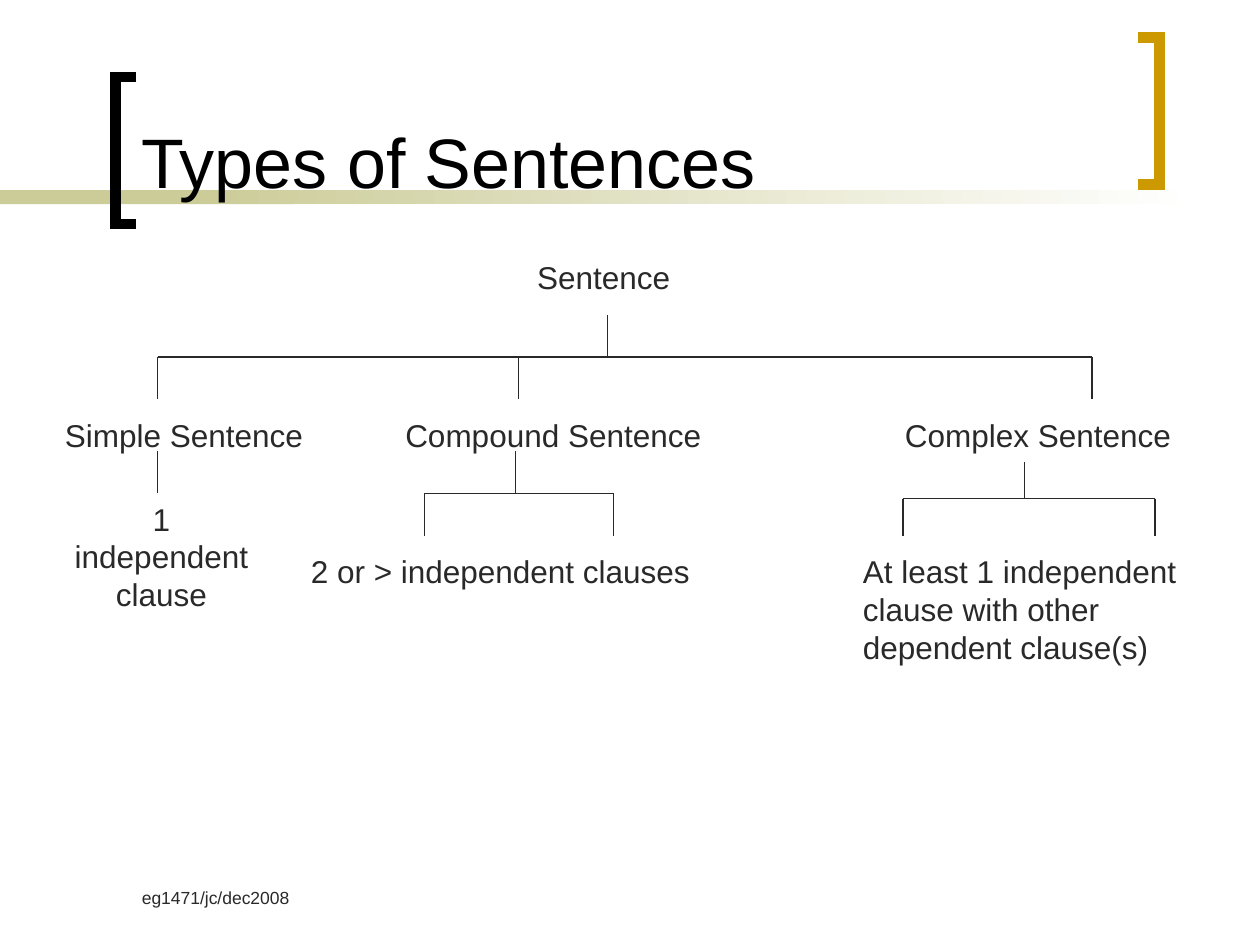
from lxml.etree import SubElement
from pptx import Presentation
from pptx.dml.color import RGBColor
from pptx.enum.shapes import MSO_CONNECTOR, MSO_SHAPE
from pptx.enum.text import MSO_ANCHOR, PP_ALIGN
from pptx.oxml.ns import qn
from pptx.util import Pt

COLORS = {"title": "000000", "ink": "292929", "band": "CCCC99",
          "fade": "FFFFFF", "gold": "CC9900"}

# Labels: text, (left, top, width, height), format
LABELS = [
    ("Types of Sentences", (73.5, 8, 564, 111.5),
     {"size": 40, "color": "title", "anchor": MSO_ANCHOR.BOTTOM}),
    ("Sentence", (192, 144, 306, 29), {"align": PP_ALIGN.CENTER}),
    ("Simple Sentence", (30, 234, 156, 29), {}),
    ("Compound Sentence", (224.5, 234, 183.5, 29), {"wrap": False}),
    ("Complex Sentence", (510, 234, 210, 29), {}),
    ("1 independent clause", (30, 282, 124.5, 72), {"align": PP_ALIGN.CENTER}),
    ("2 or > independent clauses", (170.5, 312, 231, 29), {"wrap": False}),
    ("At least 1 independent clause with other dependent clause(s)",
     (486, 312, 222, 72), {}),
    ("eg1471/jc/dec2008", (74, 503.5, 150, 24), {"size": 10}),
]

# Trees: stem x, stem top, bar y, branch bottom, branch x positions
TREES = [
    (347, 180, 204, 228, (90, 296.5, 624)),
    (294.5, 258, 282, 306, (242.5, 350.5)),
    (585.5, 264, 285, 306, (516, 660)),
    (90, 258, 282, 282, ()),
]

# Brackets: x of the upright, x of the tips, top, colour
BRACKETS = [(66, 78, 44, "title"), (662.5, 650.5, 21.5, "gold")]
BRACKET_HEIGHT = 84

BAND_TOP, BAND_HEIGHT = 108.75, 8
BAND_SOLID_WIDTH, FADE_LEFT, FADE_WIDTH = 168, 114, 570


def rgb(name):
    return RGBColor.from_string(COLORS[name])


def add_text(slide, text, box, size=18, color="ink", align=PP_ALIGN.LEFT,
             anchor=MSO_ANCHOR.TOP, wrap=True):
    frame = slide.shapes.add_textbox(*map(Pt, box)).text_frame
    frame.word_wrap = wrap
    frame.vertical_anchor = anchor
    paragraph = frame.paragraphs[0]
    paragraph.alignment = align
    run = paragraph.add_run()
    run.text = text
    run.font.name = "Arial"
    run.font.size = Pt(size)
    run.font.color.rgb = rgb(color)


def add_line(slide, *ends):
    line = slide.shapes.add_connector(MSO_CONNECTOR.STRAIGHT, *map(Pt, ends))
    line.line.color.rgb = rgb("ink")
    line.line.width = Pt(0.75)
    SubElement(line._element.spPr, qn("a:effectLst"))


def add_tree(slide, stem, top, bar, bottom, branches):
    add_line(slide, stem, top, stem, bar)
    if branches:
        add_line(slide, branches[0], bar, branches[-1], bar)
    for branch in branches:
        add_line(slide, branch, bar, branch, bottom)


def add_band(slide, left, width):
    band = slide.shapes.add_shape(MSO_SHAPE.RECTANGLE, Pt(left), Pt(BAND_TOP),
                                  Pt(width), Pt(BAND_HEIGHT))
    band.shadow.inherit = False
    band.line.fill.background()
    return band.fill


def add_bracket(slide, upright, tip, top, color):
    bottom = top + BRACKET_HEIGHT
    builder = slide.shapes.build_freeform(Pt(tip), Pt(top))
    corners = [(upright, top), (upright, bottom), (tip, bottom)]
    builder.add_line_segments([(Pt(x), Pt(y)) for x, y in corners], close=False)
    bracket = builder.convert_to_shape()
    bracket.shadow.inherit = False
    bracket.fill.background()
    bracket.line.color.rgb = rgb(color)
    bracket.line.width = Pt(6)
    # Square corners
    SubElement(bracket.line._get_or_add_ln(), qn("a:miter"), lim="800000")


def main():
    presentation = Presentation()
    presentation.slide_width, presentation.slide_height = Pt(720), Pt(540)
    slide = presentation.slides.add_slide(presentation.slide_layouts[6])

    # Band behind the title, fading to the right
    solid = add_band(slide, 0, BAND_SOLID_WIDTH)
    solid.solid()
    solid.fore_color.rgb = rgb("band")
    fade = add_band(slide, FADE_LEFT, FADE_WIDTH)
    fade.gradient()
    fade.gradient_angle = 0
    for stop, color in zip(fade.gradient_stops, ("band", "fade")):
        stop.color.rgb = rgb(color)

    # Brackets around the title
    for bracket in BRACKETS:
        add_bracket(slide, *bracket)

    # Sentence tree
    for tree in TREES:
        add_tree(slide, *tree)
    for text, box, text_format in LABELS:
        add_text(slide, text, box, **text_format)

    presentation.save("out.pptx")


if __name__ == "__main__":
    main()
